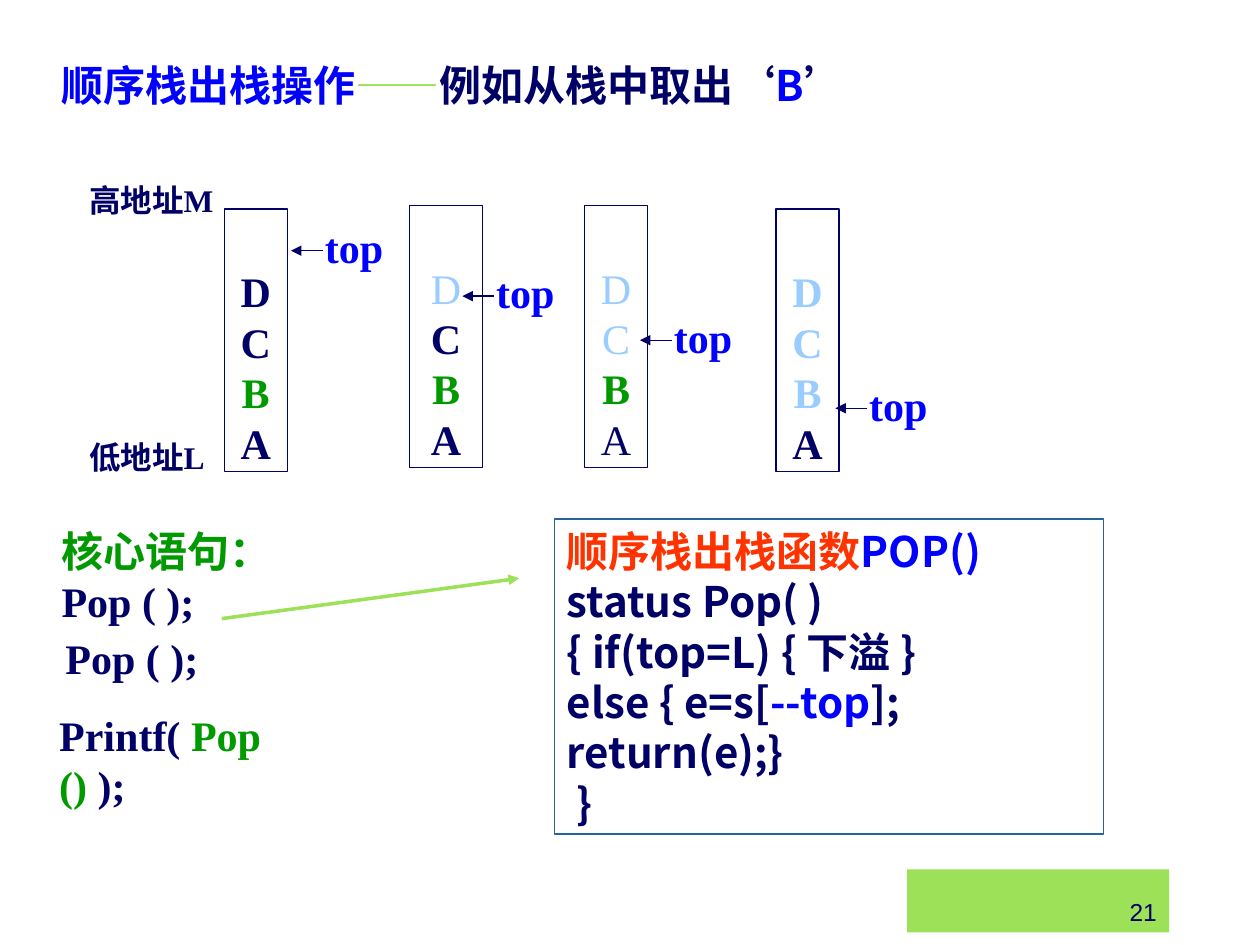
from pptx import Presentation
from pptx.dml.color import RGBColor
from pptx.enum.shapes import MSO_CONNECTOR, MSO_SHAPE
from pptx.enum.text import MSO_ANCHOR, PP_ALIGN
from pptx.oxml.ns import qn
from pptx.util import Inches, Pt
from lxml import etree

RECTANGLE, STRAIGHT = MSO_SHAPE.RECTANGLE, MSO_CONNECTOR.STRAIGHT
TOP, MIDDLE, BOTTOM = MSO_ANCHOR.TOP, MSO_ANCHOR.MIDDLE, MSO_ANCHOR.BOTTOM
LEFT, CENTER, RIGHT = PP_ALIGN.LEFT, PP_ALIGN.CENTER, PP_ALIGN.RIGHT
JUSTIFY = PP_ALIGN.JUSTIFY

SERIF, SANS, PLAIN = "Times New Roman", "Noto Sans CJK SC", "Arial"
COLORS = {
    "navy": "000066", "blue": "0000FF", "green": "009900", "lime": "9CE157",
    "popped": "99CCFF", "red": "FF3300", "frame": "2663A0",
}
TOP_ROW, LOW_ROW = 16.3, 16.6  # the two heights at which stacks start
STACK_HEIGHT = 20.8

# Each stack: column, row, width, pointer column, pointer row, popped count,
# letters in regular weight
STACKS = [
    (17.8, LOW_ROW, 5, 23.1, 19.9, 0, ""),
    (32.5, TOP_ROW, 5.8, 36.7, 23.5, 1, "D"),
    (46.4, TOP_ROW, 5, 50.8, 27, 2, "DCA"),
    (61.6, LOW_ROW, 5, 66.3, 32.4, 3, ""),
]


def grid(*cells):
    """Lengths on a grid of 100 columns by 75 rows, square cells."""
    return [Inches(round(cell / 10, 2)) for cell in cells]


def rgb(name):
    return RGBColor.from_string(COLORS[name])


def write(frame, lines, size=24, font=SERIF, align=LEFT, anchor=TOP,
          inset=(1, 0.5), wrap=False, bold=True):
    """Fill a frame; a line is a list of (text, colour[, bold]) pieces."""
    frame.word_wrap = wrap
    frame.vertical_anchor = anchor
    frame.margin_left, frame.margin_top = grid(*inset)
    frame.margin_right, frame.margin_bottom = grid(*inset)
    for index, pieces in enumerate(lines):
        paragraph = frame.paragraphs[0] if index == 0 else frame.add_paragraph()
        paragraph.alignment = align
        paragraph.line_spacing = Pt(size * 1.2)
        for text, color, *weight in pieces:
            run = paragraph.add_run()
            run.text = text
            run.font.size = Pt(size)
            run.font.bold = weight[0] if weight else bold
            run.font.color.rgb = rgb(color)
            run.font.name = font
            east_asian = etree.SubElement(run.font._element, qn("a:ea"))
            east_asian.set("typeface", SANS)


def label(slide, area, lines, **style):
    write(slide.shapes.add_textbox(*grid(*area)).text_frame, lines, **style)


def box(slide, area, lines, line=None, fill=None, **style):
    shape = slide.shapes.add_shape(RECTANGLE, *grid(*area))
    shape.shadow.inherit = False
    if fill:
        shape.fill.solid()
        shape.fill.fore_color.rgb = rgb(fill)
    else:
        shape.fill.background()
    if line:
        shape.line.color.rgb = rgb(line)
        shape.line.width = Pt(0.75)
    else:
        shape.line.fill.background()
    write(shape.text_frame, lines, **style)


def arrow(slide, start, end, color="navy", width=0.75):
    connector = slide.shapes.add_connector(STRAIGHT, *grid(*start, *end))
    connector.line.color.rgb = rgb(color)
    connector.line.width = Pt(width)
    outline = connector.line._get_or_add_ln()
    etree.SubElement(outline, qn("a:tailEnd")).set("type", "triangle")
    etree.SubElement(connector._element.spPr, qn("a:effectLst"))


def stack(slide, column, row, width, tip, level, popped, regular):
    """One state of the stack with its top pointer."""
    colors = ["navy", "navy", "green", "navy"]
    colors[:popped] = ["popped"] * popped
    letters = [[(letter, color, letter not in regular)]
               for letter, color in zip("DCBA", colors)]
    box(slide, (column, row, width, STACK_HEIGHT), letters, line="navy",
        align=CENTER, anchor=BOTTOM, inset=(1, 0.3))
    arrow(slide, (tip + 2.5, level), (tip, level))
    label(slide, (tip + 1.7, level - 2.8, 6.6, 5), [[("top", "blue")]])


def main():
    deck = Presentation()
    deck.slide_width, deck.slide_height = grid(100, 75)
    slide = deck.slides.add_slide(deck.slide_layouts[5])

    # Title
    title = slide.shapes.title
    title.left, title.top, title.width, title.height = grid(3.9, 4.2, 85, 5)
    write(title.text_frame, [[
        ("顺序栈出栈操作", "blue"), ("——", "lime"),
        ("例如从栈中取出‘", "navy"), ("B", "blue"), ("’", "navy"),
    ]], font=SANS, anchor=MIDDLE, wrap=True)

    # Stack states and address labels
    for state in STACKS:
        stack(slide, *state)
    for text, row in (("高地址M", 13.9), ("低地址L", 34.3)):
        label(slide, (6.1, row, 12.4, 4), [[(text, "navy")]], size=18)

    # Core statements
    label(slide, (3.9, 41.2, 28.4, 9),
          [[("核心语句：", "green")], [("Pop ( );", "navy")]], wrap=True)
    label(slide, (5.2, 50.2, 10.6, 4), [[("Pop ( );", "navy")]], inset=(0, 0))
    label(slide, (4.7, 56.3, 22.1, 4),
          [[("Printf( ", "navy"), ("Pop ()", "green"), (" );", "navy")]],
          inset=(0, 0))

    # Pop function
    box(slide, (44, 41.2, 43.6, 25), [
        [("顺序栈出栈函数", "red"), ("POP()", "blue")],
        [("status Pop( )", "navy")],
        [("{ if(top=L) { 下溢 }", "navy")],
        [("else { e=s[", "navy"), ("--top", "blue"), ("];", "navy")],
        [("return(e);}", "navy")],
        [(" }", "navy")],
    ], line="frame", font=SANS, align=JUSTIFY, wrap=True)
    arrow(slide, (17.6, 49.1), (41.2, 45.9), color="lime", width=2)

    # Page number
    box(slide, (72, 69, 20.8, 5), [[("21", "navy")]], fill="lime", size=14,
        font=PLAIN, align=RIGHT, anchor=BOTTOM, wrap=True, bold=False)

    deck.save("out.pptx")


if __name__ == "__main__":
    main()
